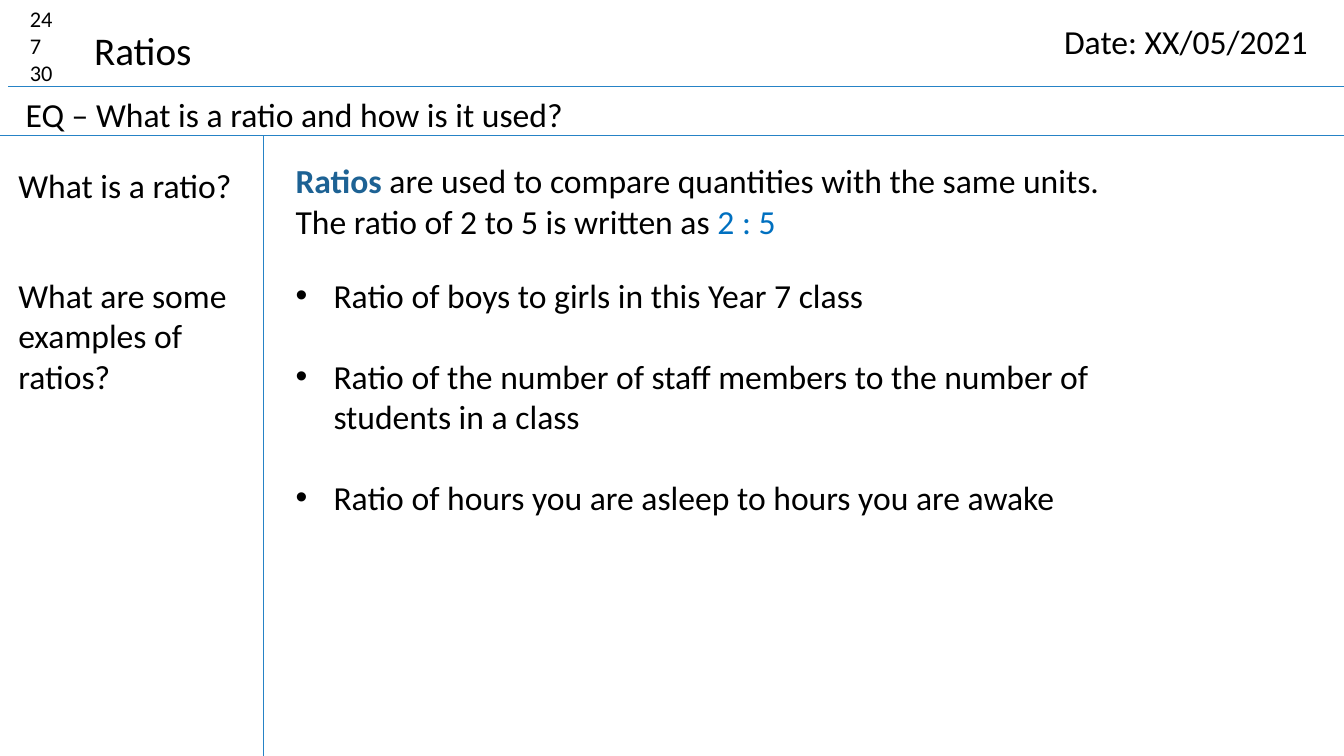
"""Builds a lesson-notes slide on ratios with a question column and an answer column."""
from lxml.etree import SubElement
from pptx import Presentation
from pptx.dml.color import RGBColor
from pptx.enum.shapes import MSO_CONNECTOR
from pptx.enum.text import MSO_ANCHOR, MSO_AUTO_SIZE, PP_ALIGN
from pptx.oxml.ns import qn
from pptx.util import Pt

PX = 9525
FONT = "Calibri"
BLACK = RGBColor(0x00, 0x00, 0x00)
RULE_BLUE = RGBColor(0x26, 0x83, 0xC6)
TERM_BLUE = RGBColor(0x1D, 0x62, 0x94)
RATIO_BLUE = RGBColor(0x00, 0x70, 0xC0)

SLIDE_W, SLIDE_H = 1280, 720
HEADER_Y, NOTES_Y, DIVIDER_X = 82, 129, 251
QUESTION_X, QUESTION_W = 8, 235
ANSWER_X, ANSWER_W = 272, 866
EXAMPLES_Y = 257
INDENT = 36


def add_rule(s, x1, y1, x2, y2):
    """Draw a thin blue line without a shadow."""
    line = s.shapes.add_connector(
        MSO_CONNECTOR.STRAIGHT, x1 * PX, y1 * PX, x2 * PX, y2 * PX)
    line.line.color.rgb = RULE_BLUE
    line.line.width = Pt(0.75)
    SubElement(line._element.spPr, qn("a:effectLst"))


def add_bullet(p):
    """Give a paragraph a round bullet with a hanging indent."""
    pPr = p._p.get_or_add_pPr()
    pPr.set("marL", str(INDENT * PX))
    pPr.set("indent", str(-INDENT * PX))
    SubElement(pPr, qn("a:buFont")).set("typeface", "Arial")
    SubElement(pPr, qn("a:buChar")).set("char", "•")


def fill_text(sp, paragraphs, size=24, wrap=True, bullets=False, gap=0):
    """Write paragraphs of (text, colour, bold) runs into a shape."""
    tf = sp.text_frame
    tf.word_wrap = wrap
    tf.auto_size = MSO_AUTO_SIZE.NONE
    tf.vertical_anchor = MSO_ANCHOR.TOP
    for i, runs in enumerate(paragraphs):
        p = tf.add_paragraph() if i else tf.paragraphs[0]
        p.alignment = PP_ALIGN.LEFT
        p.space_before = Pt(gap if i else 0)
        if bullets:
            add_bullet(p)
        for text, color, bold in runs:
            r = p.add_run()
            r.text = text
            r.font.name = FONT
            r.font.size = Pt(size)
            r.font.bold = bold
            r.font.color.rgb = color


def plain(*lines):
    """Turn lines into paragraphs of one black run each."""
    return [[(line, BLACK, False)] for line in lines]


def place(sp, x, y, w, h):
    """Move and size a placeholder."""
    sp.left, sp.top, sp.width, sp.height = (v * PX for v in (x, y, w, h))


def add_text(s, x, y, w, h, paragraphs, size=24):
    """Add a wrapping text box."""
    sp = s.shapes.add_textbox(x * PX, y * PX, w * PX, h * PX)
    fill_text(sp, paragraphs, size)


def main():
    """Build and save the slide."""
    prs = Presentation()
    prs.slide_width, prs.slide_height = SLIDE_W * PX, SLIDE_H * PX
    s = prs.slides.add_slide(prs.slide_layouts[1])
    title, examples = s.placeholders

    add_rule(s, 8, HEADER_Y, SLIDE_W, HEADER_Y)
    add_rule(s, 0, NOTES_Y, SLIDE_W, NOTES_Y)
    add_rule(s, DIVIDER_X, NOTES_Y, DIVIDER_X, SLIDE_H)

    place(title, 80, 20, 113, 55)
    fill_text(title, plain("Ratios"), size=28, wrap=False)
    add_text(s, 19, 0, 60, 87, plain("24", "7", "30"), size=16)
    add_text(s, 1004, 15, 276, 48, plain("Date: XX/05/2021"))
    add_text(s, 15, 85, 1097, 48, plain("EQ – What is a ratio and how is it used?"))

    add_text(s, QUESTION_X, 152, QUESTION_W, 48, plain("What is a ratio?"))
    add_text(s, ANSWER_X, 148, ANSWER_W, 87, [
        [("Ratios", TERM_BLUE, True),
         (" are used to compare quantities with the same units.", BLACK, False)],
        [("The ratio of 2 to 5 is written as ", BLACK, False),
         ("2 : 5", RATIO_BLUE, False)],
    ])

    add_text(s, QUESTION_X, EXAMPLES_Y, QUESTION_W, 126,
             plain("What are some examples of ratios?"))
    place(examples, ANSWER_X, EXAMPLES_Y, ANSWER_W, 320)
    fill_text(examples, plain(
        "Ratio of boys to girls in this Year 7 class",
        "Ratio of the number of staff members to the number of students in a class",
        "Ratio of hours you are asleep to hours you are awake",
    ), bullets=True, gap=29)

    prs.save("out.pptx")


if __name__ == "__main__":
    main()
